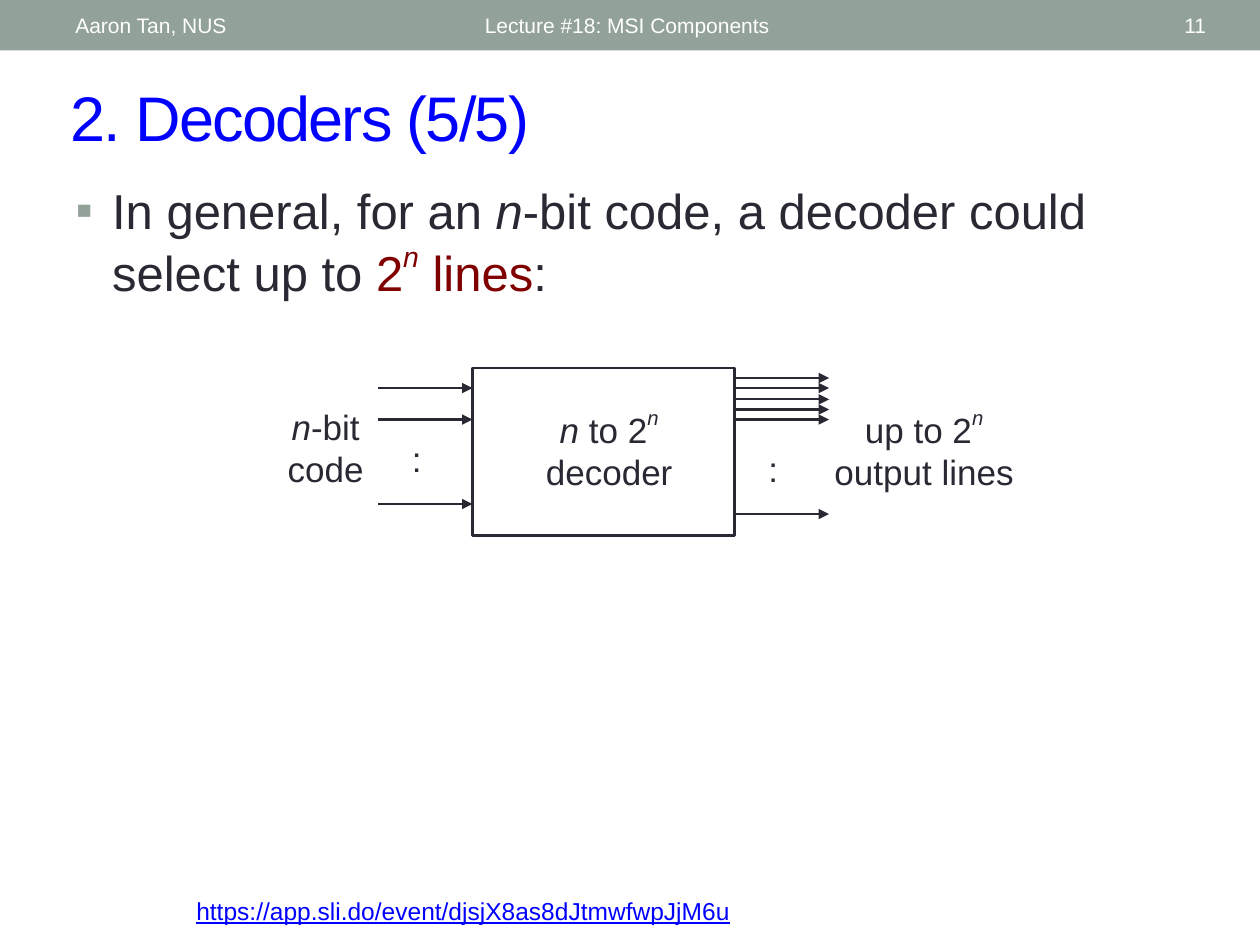
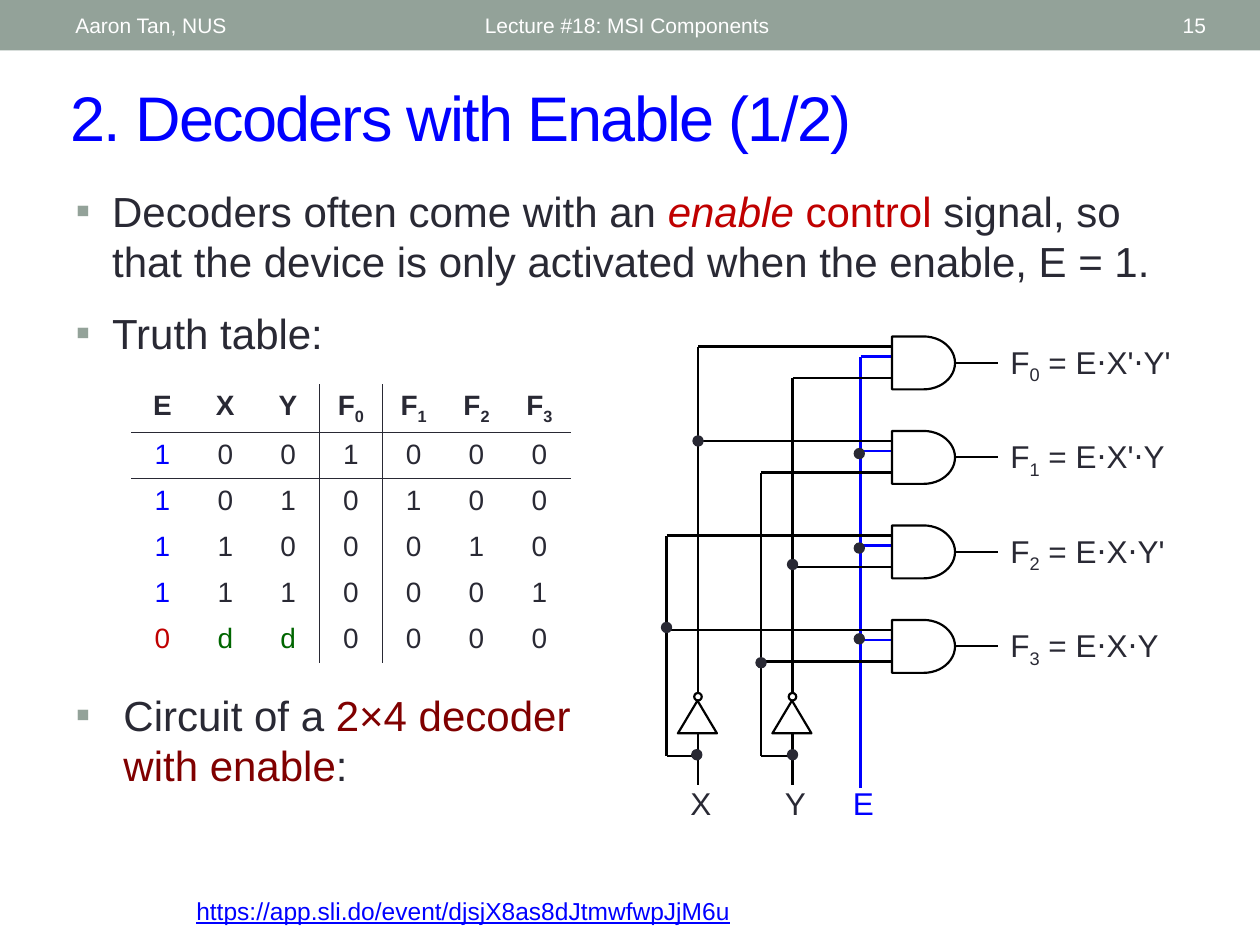
from dataclasses import dataclass, field
from typing import NamedTuple

from lxml import etree
from pptx import Presentation, util as u
from pptx.dml.color import RGBColor
from pptx.enum import shapes as sh, text as tx
from pptx.oxml import ns

FONT = "Arial"
HUES = {
    "band": "93A299", "ink": "292934", "blue": "0000FF", "maroon": "800000",
    "red": "C00000", "green": "006600", "white": "FFFFFF", "black": "000000",
}
GRID = 2.54  # one grid step in centimetres
LEFT, MID, RIGHT = tx.PP_ALIGN.LEFT, tx.PP_ALIGN.CENTER, tx.PP_ALIGN.RIGHT
LINK = "https://app.sli.do/event/djsjX8as8dJtmwfwpJjM6u"
PLAIN = "{2D5ABB26-0587-4C30-8999-92F81FD0307C}"  # table style without grid


class Run(NamedTuple):
    text: str
    fmt: dict = {}


class Box(NamedTuple):
    x: float
    y: float
    w: float
    h: float


@dataclass
class Label:
    box: Box
    lines: list
    align: int = LEFT
    fmt: dict = field(default_factory=dict)


@dataclass
class Input:
    """A decoder input: its inverter's x and where its two trunks begin."""
    name: str
    x: float
    inv: float
    true: float


ITAL = {"italic": True}
POWER = Run("n", {"italic": True, "baseline": 50000})


def sub(digit) -> Run:
    return Run(str(digit), {"baseline": -25000})


def dim(steps: float) -> int:
    return u.Cm(steps * GRID)


def rgb(hue: str) -> RGBColor:
    return RGBColor.from_string(HUES[hue])


def style(run, fmt: dict) -> None:
    for key, val in fmt.items():
        if key == "hue":
            run.font.color.rgb = rgb(val)
        elif key in ("baseline", "spc"):
            run._r.get_or_add_rPr().set(key, str(val))
        else:
            setattr(run.font, key, val)


def write(frame, lines: list, align: int = LEFT, **fmt) -> None:
    base = {"name": FONT, "hue": "ink", **fmt}
    for i, runs in enumerate(lines):
        par = frame.add_paragraph() if i else frame.paragraphs[0]
        par.alignment = align
        for part in runs:
            run = par.add_run()
            run.text = part.text
            style(run, {**base, **part.fmt})


def place(shape, box: Box) -> None:
    for key, val in zip(("left", "top", "width", "height"), box):
        setattr(shape, key, dim(val))


def fit(frame, anchor=tx.MSO_ANCHOR.TOP) -> None:
    form = {"word_wrap": True, "auto_size": tx.MSO_AUTO_SIZE.NONE,
            "vertical_anchor": anchor}
    for key, val in form.items():
        setattr(frame, key, val)


def label(slide, item: Label, anchor=tx.MSO_ANCHOR.TOP) -> None:
    frame = slide.shapes.add_textbox(*map(dim, item.box)).text_frame
    fit(frame, anchor)
    write(frame, item.lines, item.align, **item.fmt)


def shape(slide, kind, box: Box, fill: str = "", line: str = "",
          width: float = 1.25):
    item = slide.shapes.add_shape(kind, *map(dim, box))
    item.shadow.inherit = False
    if fill:
        item.fill.solid()
        item.fill.fore_color.rgb = rgb(fill)
    else:
        item.fill.background()
    if line:
        item.line.color.rgb = rgb(line)
        item.line.width = u.Pt(width)
    else:
        item.line.fill.background()
    return item


def wire(slide, x1: float, y1: float, x2: float, y2: float,
         hue: str = "black", arrow: bool = False) -> None:
    item = slide.shapes.add_connector(
        sh.MSO_CONNECTOR.STRAIGHT, *map(dim, (x1, y1, x2, y2)))
    item.line.color.rgb = rgb(hue)
    item.line.width = u.Pt(1.25)
    if arrow:
        etree.SubElement(item.line._get_or_add_ln(), ns.qn("a:tailEnd"),
                         type="triangle")
    etree.SubElement(item._element.spPr, ns.qn("a:effectLst"))


def dot(slide, x: float, y: float) -> None:
    shape(slide, sh.MSO_SHAPE.OVAL, Box(x - 0.04, y - 0.04, 0.08, 0.08),
          "ink", "ink", 0.75)


def body(slide, idx: int, box: Box, lines: list, size: int,
         hang: float = 0.29) -> None:
    """Fill a body placeholder with a square-bulleted list."""
    item = slide.placeholders[idx]
    place(item, box)
    frame = item.text_frame
    fit(frame)
    write(frame, lines, size=u.Pt(size))
    for i, par in enumerate(frame.paragraphs):
        props = par._p.get_or_add_pPr()
        props.set("marL", str(dim(hang)))
        props.set("indent", str(-dim(hang)))
        tint = etree.SubElement(props, ns.qn("a:buClr"))
        etree.SubElement(tint, ns.qn("a:srgbClr"), val=HUES["band"])
        etree.SubElement(props, ns.qn("a:buFont"), typeface=FONT)
        etree.SubElement(props, ns.qn("a:buChar"), char="▪")
        par.space_before = u.Pt(size / 2 if i else 0)


def start(deck, layout: int, title: str, page: int):
    """Add a slide with the shared band, header, link and title."""
    slide = deck.slides.add_slide(deck.slide_layouts[layout])
    shape(slide, sh.MSO_SHAPE.RECTANGLE, Box(0, 0, 10, 0.4), "band")
    small = {"size": u.Pt(12), "hue": "white"}
    heads = [
        Label(Box(0.5, 0.02, 3.17, 0.36), [[Run("Aaron Tan, NUS")]]),
        Label(Box(3.75, 0.02, 4.5, 0.36),
              [[Run("Lecture #18: MSI Components")]]),
        Label(Box(8.72, 0.02, 0.95, 0.36), [[Run(str(page))]], RIGHT),
    ]
    for head in heads:
        head.fmt = small
        label(slide, head, tx.MSO_ANCHOR.MIDDLE)
    label(slide, Label(Box(1.46, 7.06, 8.04, 0.34), [[Run(LINK)]], fmt={
        "size": u.Pt(14), "hue": "blue", "underline": True}))
    place(slide.shapes.title, Box(0.46, 0.57, 9.38, 0.7))
    frame = slide.shapes.title.text_frame
    fit(frame, tx.MSO_ANCHOR.MIDDLE)
    write(frame, [[Run(title)]], size=u.Pt(36), hue="blue", spc=-100)
    return slide


def general(deck) -> None:
    slide = start(deck, 1, "2. Decoders (5/5)", 11)
    dark = {"hue": "maroon"}
    body(slide, 1, Box(0.5, 1.38, 9, 1.12), [[
        Run("In general, for an "), Run("n", ITAL),
        Run("-bit code, a decoder could select up to "), Run("2", dark),
        Run("n", {**POWER.fmt, **dark}), Run(" lines", dark), Run(":")]], 28)
    shape(slide, sh.MSO_SHAPE.RECTANGLE, Box(3.75, 2.92, 2.08, 1.33),
          line="ink", width=1.5)
    ports = {3: (3.08, 3.33, 4), 5.83: (3, 3.08, 3.17, 3.25, 3.33, 4.08)}
    for x, rows in ports.items():
        for y in rows:
            wire(slide, x, y, x + 0.75, y, "ink", True)
    dots = [[Run(":")]]
    notes = [
        Label(Box(3.17, 3.42, 0.33, 0.43), dots),
        Label(Box(6, 3.5, 0.33, 0.43), dots),
        Label(Box(2, 3.17, 1.17, 0.77),
              [[Run("n", ITAL), Run("-bit")], [Run("code")]], MID),
        Label(Box(4, 3.17, 1.67, 0.77),
              [[Run("n", ITAL), Run(" to 2"), POWER], [Run("decoder")]], MID),
        Label(Box(6.5, 3.17, 1.67, 0.77),
              [[Run("up to 2"), POWER], [Run("output lines")]], MID),
    ]
    for note in notes:
        note.fmt = {"size": u.Pt(20)}
        label(slide, note)


def edge(cell, side: str, width: float) -> None:
    props = cell._tc.get_or_add_tcPr()
    line = etree.Element(ns.qn(f"a:{side}"), w=str(u.Pt(width)))
    fill = etree.SubElement(line, ns.qn("a:solidFill"))
    etree.SubElement(fill, ns.qn("a:srgbClr"), val=HUES["ink"])
    at = len(props.findall(ns.qn("a:lnR")))
    props.insert(at, line)


def truth(slide) -> None:
    rows = ["1001000", "1010100", "1100010", "1110001", "0dd0000"]
    head = [[Run(c)] for c in "EXY"] + [[Run("F"), sub(i)] for i in range(4)]
    grid = [head] + [[[Run(c)] for c in row] for row in rows]
    item = slide.shapes.add_table(6, 7, *map(dim, (1.04, 3.05, 3.49, 2.2)))
    table = item.table
    table.first_row = table.horz_banding = False
    table._tbl.tblPr.find(ns.qn("a:tableStyleId")).text = PLAIN
    under = {0: 1, 1: 0.5}
    for r, row in enumerate(grid):
        for c, runs in enumerate(row):
            cell = table.cell(r, c)
            cell.fill.background()
            hue = "ink"
            if r and c == 0:
                hue = "blue" if r < 5 else "red"
            elif runs[0].text == "d":
                hue = "green"
            write(cell.text_frame, [runs], MID, size=u.Pt(16), bold=r == 0,
                  hue=hue)
            if c in (2, 3):
                edge(cell, "lnR", 1)
            if r in under:
                edge(cell, "lnB", under[r])


def circuit(slide) -> None:
    pins = [Input("X", 5.54, 2.75, 4.25), Input("Y", 6.29, 3, 3.75)]
    big = {"size": u.Pt(18)}
    for pin in pins:
        x, side = pin.x, pin.x - 0.25
        wire(slide, x, pin.inv, x, 5.5)
        wire(slide, side, pin.true, side, 6)
        wire(slide, side, 6, x, 6)
        wire(slide, x, 5.81, x, 6.23)
        tip = shape(slide, sh.MSO_SHAPE.FLOWCHART_MERGE,
                    Box(x - 0.16, 5.56, 0.31, 0.26), line="black")
        tip.rotation = 180
        shape(slide, sh.MSO_SHAPE.OVAL, Box(x - 0.03, 5.5, 0.06, 0.06),
              line="black")
        label(slide, Label(Box(x - 0.16, 6.17, 0.42, 0.4),
                           [[Run(pin.name)]], fmt=big))
    wire(slide, 6.83, 2.83, 6.83, 6.25, "blue")
    label(slide, Label(Box(6.67, 6.17, 0.42, 0.4), [[Run("E")]],
                       fmt={**big, "hue": "blue"}))
    terms = ["X'⋅Y'", "X'⋅Y", "X⋅Y'", "X⋅Y"]
    first, last = pins
    for i, term in enumerate(terms):
        top = 2.67 + 0.75 * i
        high = first.x - 0.25 * (i // 2)
        low = last.x - 0.25 * (i % 2)
        wire(slide, high, top + 0.08, 7.08, top + 0.08)
        wire(slide, 6.83, top + 0.16, 7.08, top + 0.16, "blue")
        wire(slide, low, top + 0.33, 7.08, top + 0.33)
        wire(slide, 7.58, top + 0.21, 7.92, top + 0.21)
        shape(slide, sh.MSO_SHAPE.FLOWCHART_DELAY,
              Box(7.08, top, 0.5, 0.42), line="black")
        label(slide, Label(Box(7.92, top, 1.58, 0.4),
                           [[Run("F"), sub(i), Run(f" = E⋅{term}")]],
                           fmt=big))
    joints = [(5.54, 3.5), (6.29, 4.48), (6.04, 5.26), (5.29, 4.98),
              (5.53, 5.99), (6.29, 5.99),
              (6.82, 3.6), (6.82, 4.35), (6.82, 5.07)]
    for x, y in joints:
        dot(slide, x, y)


def enable(deck) -> None:
    slide = start(deck, 3, "2. Decoders with Enable (1/2)", 15)
    red = {"hue": "red"}
    body(slide, 1, Box(0.5, 1.42, 9, 1.58), [
        [Run("Decoders often come with an "), Run("enable", {**red, **ITAL}),
         Run(" control ", red),
         Run("signal, so that the device is only activated when the enable, "
             "E = 1.")],
        [Run("Truth table:")]], 24)
    body(slide, 2, Box(0.5, 5.42, 4.25, 1.08), [[
        Run("Circuit of a "),
        Run("2×4 decoder with enable", {"hue": "maroon"}), Run(":")]],
        24, 0.38)
    truth(slide)
    circuit(slide)


def main() -> None:
    deck = Presentation()
    deck.slide_width, deck.slide_height = dim(10), dim(7.5)
    general(deck)
    enable(deck)
    deck.save("out.pptx")


if __name__ == "__main__":
    main()
